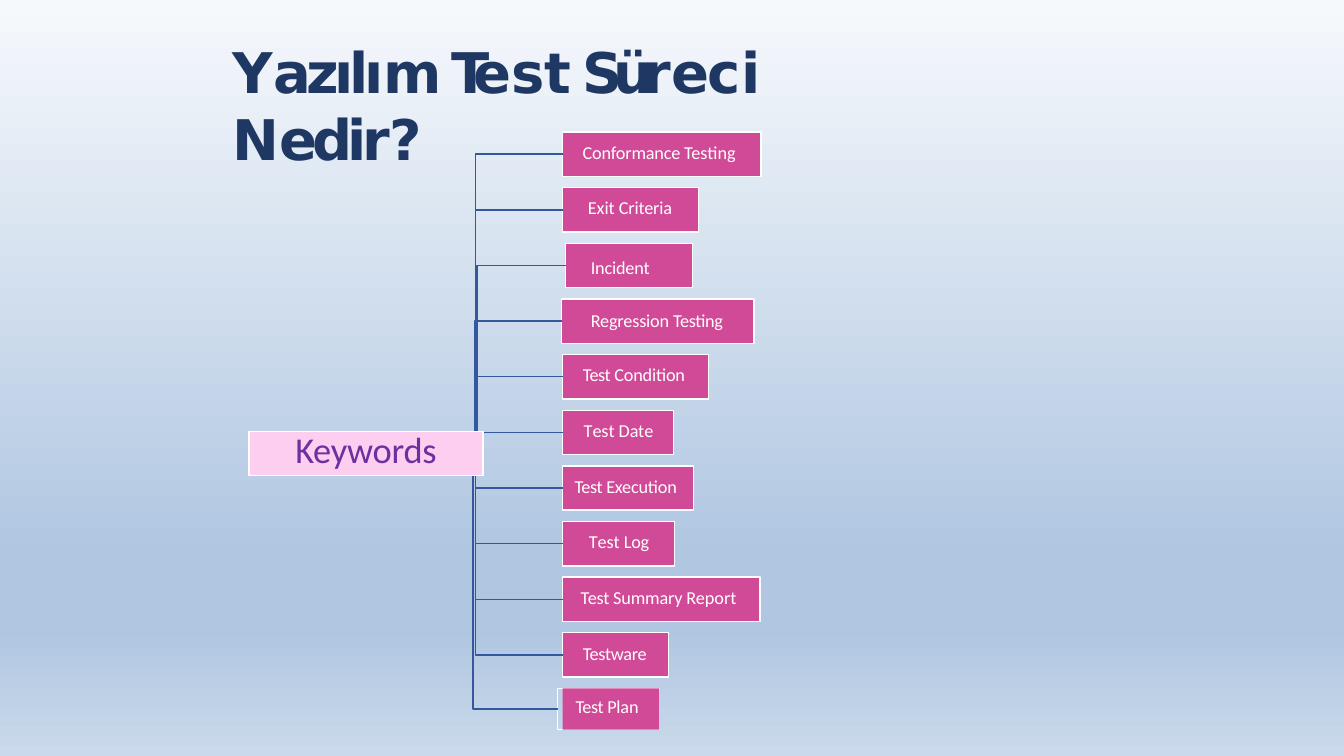
from lxml import etree
from pptx import Presentation
from pptx.dml.color import RGBColor
from pptx.enum.shapes import MSO_CONNECTOR, MSO_SHAPE
from pptx.enum.text import MSO_ANCHOR, PP_ALIGN
from pptx.oxml.ns import qn
from pptx.util import Inches, Pt

RECTANGLE = MSO_SHAPE.RECTANGLE
ELBOW = MSO_CONNECTOR.ELBOW
TOP, MIDDLE = MSO_ANCHOR.TOP, MSO_ANCHOR.MIDDLE
LEFT, CENTER = PP_ALIGN.LEFT, PP_ALIGN.CENTER

BACKGROUND = [(0, "F6F9FC"), (74, "B0C6E1"), (83, "B0C6E1"), (100, "CAD9EB")]
NAVY, PURPLE, WHITE = "1F3863", "6F2F9F", "FFFFFF"
PINK, MAGENTA, BLUE = "FDCEF0", "D14A97", "34589C"

TITLE = [("Y", -4.7), ("azılı", -3.2), ("m ", -7.2), ("Te", -6.1), ("s", -5.5),
         ("t ", -6.2), ("Sür", -6.5), ("ec", -1.2), ("i ", -0.7), ("N", -4.3),
         ("edir", -3.5), ("?", -2.3)]
KEYWORDS = [("Keywords", -0.2)]
# left, width, text inset left, text inset top, text with letter spacing
TOPICS = [
    (5.58, 1.97, 0.2, 0.09, [("Conformance ", -0.1), ("Testing", 0)]),
    (5.58, 1.35, 0.25, 0.09, [("Exit ", 0), ("Criteria", -0.1)]),
    (5.61, 1.26, 0.25, 0.13, [("Incident", -0.1)]),
    (5.57, 1.91, 0.29, 0.1, [("Regression ", -0.1), ("Testing", -0.2)]),
    (5.58, 1.45, 0.2, 0.09, [("Test ", -0.3), ("Condition", -0.1)]),
    (5.58, 1.1, 0.21, 0.09, [("T", -1.1), ("es", -0.1), ("t D", 0), ("at", -0.1), ("e", 0)]),
    (5.58, 1.3, 0.12, 0.09, [("Test ", -0.3), ("Execution", -0.1)]),
    (5.58, 1.11, 0.26, 0.09, [("T", -1.1), ("es", -0.1), ("t ", 0), ("Log", -0.1)]),
    (5.58, 1.96, 0.18, 0.09, [("Test Summary ", -0.1), ("Report", 0)]),
    (5.58, 1.05, 0.2, 0.09, [("Testware", -0.2)]),
]
TEST_PLAN = [("Test ", -0.3), ("Plan", -0.1)]
FIRST_TOP, LAST_TOP = 1.31, 6.83
PITCH = (LAST_TOP - FIRST_TOP) / len(TOPICS)
ROW_HEIGHT, PLAN_HEIGHT = 0.44, 0.41
HUB_X, HUB_Y = 3.85, 4.5


def color(value):
    return RGBColor.from_string(value)


def write(shape, spans, size, ink, font="Calibri", bold=False, align=LEFT,
          anchor=TOP, left=0, top=0, bottom=0, wrap=False):
    frame = shape.text_frame
    frame.word_wrap = wrap
    frame.vertical_anchor = anchor
    frame.margin_left, frame.margin_right = Inches(left), 0
    frame.margin_top, frame.margin_bottom = Inches(top), Inches(bottom)
    para = frame.paragraphs[0]
    para.alignment = align
    for text, spacing in spans:
        span = para.add_run()
        span.text = text
        span.font.name = font
        span.font.size = Pt(size)
        span.font.bold = bold
        span.font.color.rgb = color(ink)
        span.font._element.set("spc", str(round(spacing * 100)))


def add_box(page, left, top, width, height, fill=None, line=None):
    box = page.shapes.add_shape(RECTANGLE, Inches(left), Inches(top),
                                Inches(width), Inches(height))
    box.shadow.inherit = False
    if fill:
        box.fill.solid()
        box.fill.fore_color.rgb = color(fill)
    else:
        box.fill.background()
    if line:
        box.line.color.rgb = color(line)
        box.line.width = Pt(1)
    else:
        box.line.fill.background()
    return box


def add_branch(page, box):
    branch = page.shapes.add_connector(ELBOW, Inches(HUB_X), Inches(HUB_Y),
                                       box.left, box.top + box.height // 2)
    branch.end_connect(box, 1)
    branch.line.color.rgb = color(BLUE)
    branch.line.width = Pt(1)
    etree.SubElement(branch._element.spPr, qn("a:effectLst"))


def paint_background(page):
    fill = page.background.fill
    fill.gradient()
    fill.gradient_angle = 270
    stops = page.background._cSld.find(".//" + qn("a:gsLst"))
    for stop in list(stops):
        stops.remove(stop)
    for position, value in BACKGROUND:
        stop = etree.SubElement(stops, qn("a:gs"), pos=str(position * 1000))
        etree.SubElement(stop, qn("a:srgbClr"), val=value)


def main():
    deck = Presentation()
    deck.slide_width, deck.slide_height = Inches(13.33), Inches(7.5)
    page = deck.slides.add_slide(deck.slide_layouts[5])
    paint_background(page)

    title = page.shapes.title
    title.left, title.top = Inches(2.3), Inches(0.36)
    title.width, title.height = Inches(6.78), Inches(0.7)
    write(title, TITLE, 40, NAVY, font="DejaVu Sans", bold=True,
          left=0.01, top=0.01, wrap=True)

    targets = []
    for row, (left, width, inset, drop, spans) in enumerate(TOPICS):
        box = add_box(page, left, FIRST_TOP + row * PITCH, width, ROW_HEIGHT,
                      fill=MAGENTA, line=WHITE)
        write(box, spans, 13, WHITE, left=inset, top=drop)
        targets.append(box)

    targets.append(add_box(page, 5.53, LAST_TOP, 1.01, PLAN_HEIGHT, line=WHITE))
    plan = add_box(page, 5.58, LAST_TOP, 0.96, PLAN_HEIGHT, fill=MAGENTA)
    write(plan, TEST_PLAN, 13, WHITE, left=0.13, top=0.07)

    for box in targets:
        add_branch(page, box)

    keywords = add_box(page, 2.47, 4.28, 2.32, ROW_HEIGHT, fill=PINK, line=WHITE)
    write(keywords, KEYWORDS, 26, PURPLE, align=CENTER, anchor=MIDDLE, bottom=0.1)

    deck.save("out.pptx")


if __name__ == "__main__":
    main()
